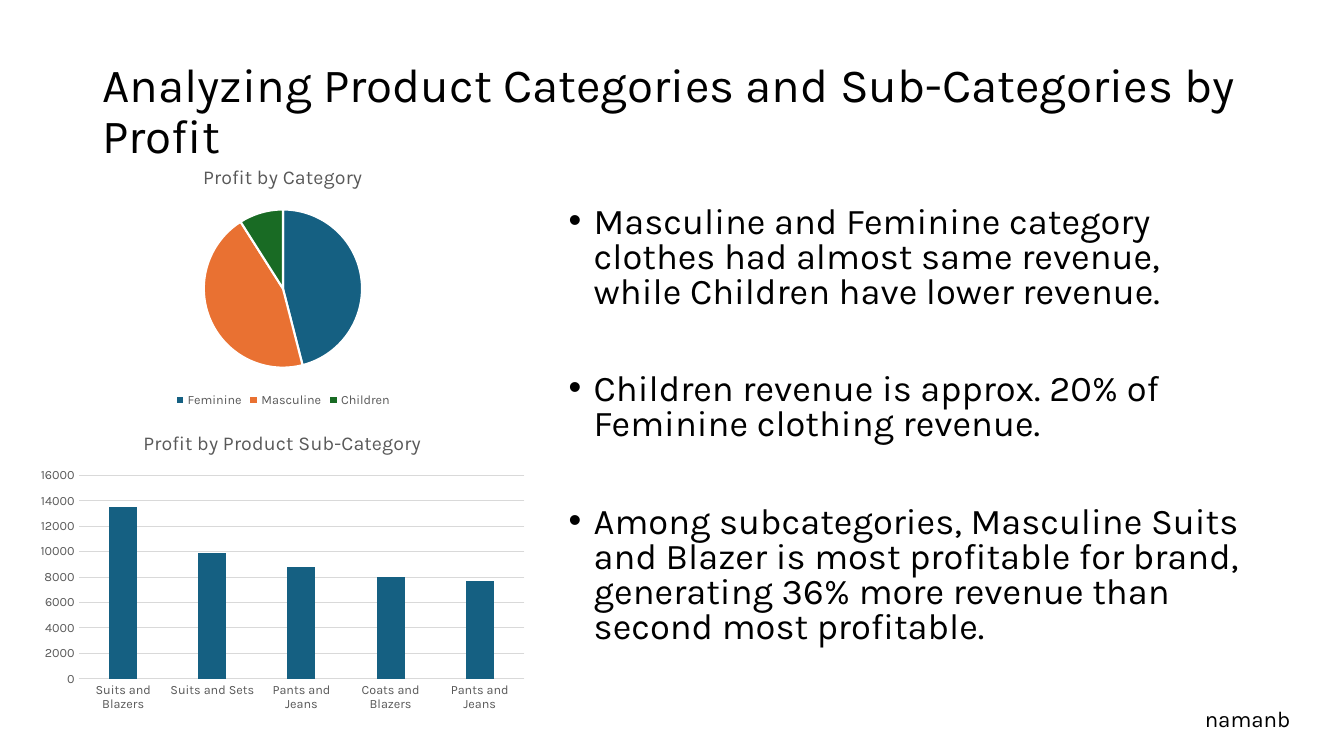
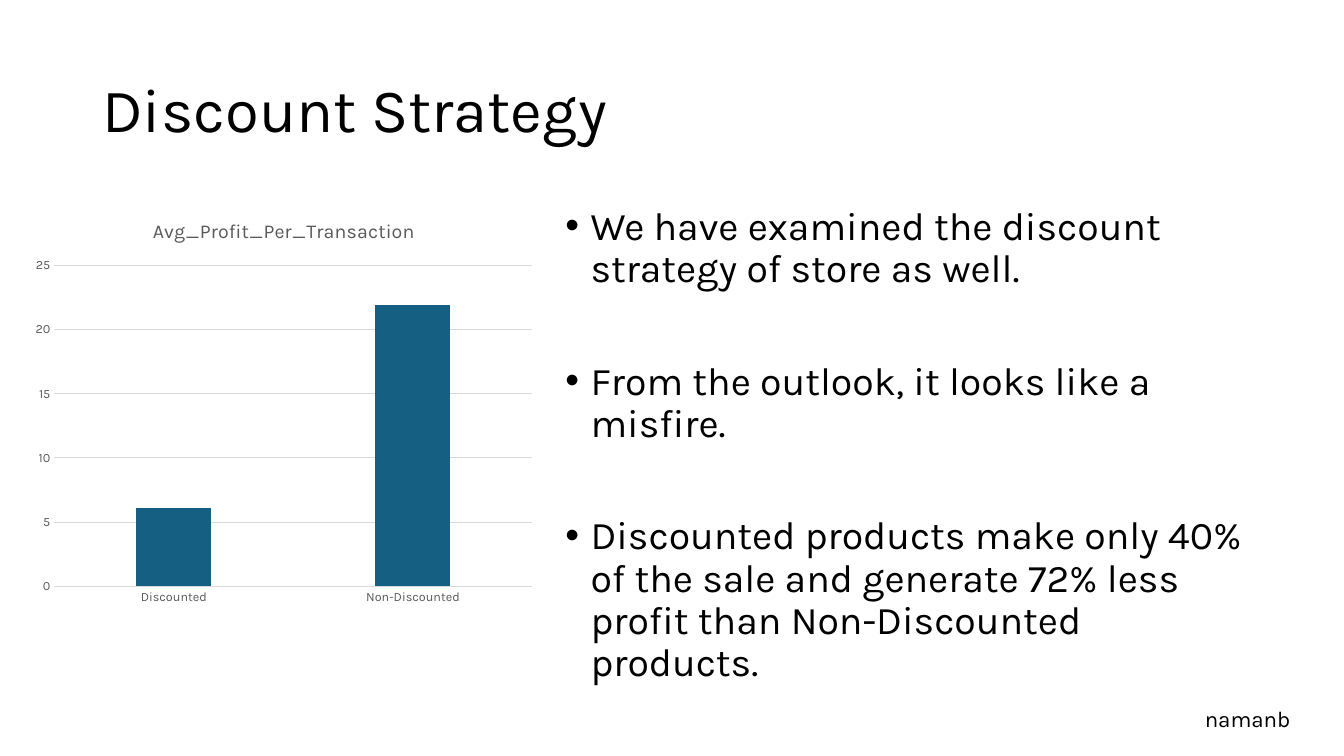
"""Build two slides on profit by category and discount strategy."""
from lxml.etree import SubElement
from pptx import Presentation
from pptx.chart.data import CategoryChartData
from pptx.dml.color import RGBColor
from pptx.enum.chart import XL_CHART_TYPE, XL_LEGEND_POSITION, XL_TICK_MARK
from pptx.enum.text import MSO_ANCHOR
from pptx.oxml.ns import qn
from pptx.util import Pt

PX = 9525
FONT = "Karla"
WHITE = RGBColor(0xFF, 0xFF, 0xFF)
BLACK = RGBColor(0x00, 0x00, 0x00)
GREY = RGBColor(0x59, 0x59, 0x59)
GRID = RGBColor(0xD9, 0xD9, 0xD9)
BLUE = RGBColor(0x15, 0x60, 0x82)
ORANGE = RGBColor(0xE9, 0x71, 0x32)
GREEN = RGBColor(0x19, 0x6B, 0x24)


class Deck:
    """Hold the shared style and the slide being built."""

    def __init__(self):
        self.presentation = Presentation()
        self.presentation.slide_width = 1280 * PX
        self.presentation.slide_height = 720 * PX
        self.slide = None

    def add_slide(self, title, title_size):
        """Start a slide with its title and author mark."""
        layout = self.presentation.slide_layouts[6]
        self.slide = self.presentation.slides.add_slide(layout)
        heading = self.text((88, 38, 1104, 139), [title], title_size)
        heading.vertical_anchor = MSO_ANCHOR.MIDDLE
        heading.paragraphs[0].line_spacing = 0.9
        self.text((1138, 667, 140, 36), ["namanb"], 16)

    def style(self, font, size, color):
        """Apply the deck font with a size and colour."""
        font.name = FONT
        font.size = Pt(size)
        font.bold = False
        font.color.rgb = color

    def text(self, box, lines, size):
        """Add a wrapped text box with one paragraph per line."""
        frame = self.slide.shapes.add_textbox(*(n * PX for n in box)).text_frame
        frame.word_wrap = True
        frame.text = "\n".join(lines)
        for paragraph in frame.paragraphs:
            for run in paragraph.runs:
                self.style(run.font, size, BLACK)
        return frame

    def bullets(self, box, points, size, line_spacing, gap):
        """Add a bulleted list with a wide gap between points."""
        frame = self.text(box, points, size)
        for index, paragraph in enumerate(frame.paragraphs):
            paragraph.line_spacing = line_spacing
            paragraph.space_before = Pt(gap if index else 10)
            properties = paragraph._p.get_or_add_pPr()
            properties.set("marL", str(24 * PX))
            properties.set("indent", str(-24 * PX))
            SubElement(properties, qn("a:buFont"), typeface="Arial")
            SubElement(properties, qn("a:buChar"), char="•")

    def chart(self, kind, box, title, categories, values):
        """Add a titled chart with one series."""
        chart_data = CategoryChartData()
        chart_data.categories = categories
        chart_data.add_series(title, values)
        chart = self.slide.shapes.add_chart(
            kind, *(n * PX for n in box), chart_data).chart
        self.style(chart.font, 9, GREY)
        heading = chart.chart_title
        heading.text_frame.text = title
        heading.include_in_layout = False
        self.style(heading.text_frame.paragraphs[0].runs[0].font, 14, GREY)
        return chart

    def pie(self, box, title, categories, values, colors):
        """Add a pie chart with a legend below."""
        chart = self.chart(XL_CHART_TYPE.PIE, box, title, categories, values)
        chart.has_legend = True
        chart.legend.position = XL_LEGEND_POSITION.BOTTOM
        chart.legend.include_in_layout = False
        self.style(chart.legend.font, 9, GREY)
        for index, color in enumerate(colors):
            slice_format = chart.plots[0].series[0].points[index].format
            slice_format.fill.solid()
            slice_format.fill.fore_color.rgb = color
            slice_format.line.color.rgb = WHITE
            slice_format.line.width = Pt(1.5)

    def columns(self, box, title, categories, values, top, step):
        """Add a column chart with light horizontal gridlines."""
        chart = self.chart(
            XL_CHART_TYPE.COLUMN_CLUSTERED, box, title, categories, values)
        chart.has_legend = False
        plot = chart.plots[0]
        plot.gap_width = 219
        plot.overlap = -27
        plot.vary_by_categories = False
        fill = plot.series[0].format.fill
        fill.solid()
        fill.fore_color.rgb = BLUE
        scale = chart.value_axis
        scale.minimum_scale = 0
        scale.maximum_scale = top
        scale.major_unit = step
        scale.has_major_gridlines = True
        for axis in (chart.category_axis, scale):
            axis.major_tick_mark = XL_TICK_MARK.NONE
            axis.minor_tick_mark = XL_TICK_MARK.NONE
            self.style(axis.tick_labels.font, 9, GREY)
        for rule in (chart.category_axis.format.line,
                     scale.major_gridlines.format.line):
            rule.color.rgb = GRID
            rule.width = Pt(0.75)
        scale.format.line.fill.background()


def main():
    """Build both slides and save the deck."""
    deck = Deck()

    deck.add_slide("Analyzing Product Categories and Sub-Categories by Profit", 34)
    deck.bullets((532, 192, 660, 457), [
        "Masculine and Feminine category clothes had almost same revenue, "
        "while Children have lower revenue.",
        "Children revenue is approx. 20% of Feminine clothing revenue.",
        "Among subcategories, Masculine Suits and Blazer is most profitable "
        "for brand, generating 36% more revenue than second most profitable.",
    ], 25.9, 0.8, 45)
    deck.pie((39, 143, 461, 249), "Profit by Category",
             ["Feminine", "Masculine", "Children"], [46, 45, 9],
             [BLUE, ORANGE, GREEN])
    deck.columns((29, 396, 480, 288), "Profit by Product Sub-Category",
                 ["Suits and Blazers", "Suits and Sets", "Pants and Jeans",
                  "Coats and Blazers", "Pants and Jeans"],
                 [13500, 9900, 8800, 8000, 7700], 16000, 2000)

    deck.add_slide("Discount Strategy", 44)
    deck.bullets((529, 192, 663, 457), [
        "We have examined the discount strategy of store as well.",
        "From the outlook, it looks like a misfire.",
        "Discounted products make only 40% of the sale and generate 72% less "
        "profit than Non-Discounted products.",
    ], 28, 0.9, 50)
    deck.columns((24, 192, 493, 392), "Avg_Profit_Per_Transaction",
                 ["Discounted", "Non-Discounted"], [6.1, 21.9], 25, 5)

    deck.presentation.save("out.pptx")


if __name__ == "__main__":
    main()
